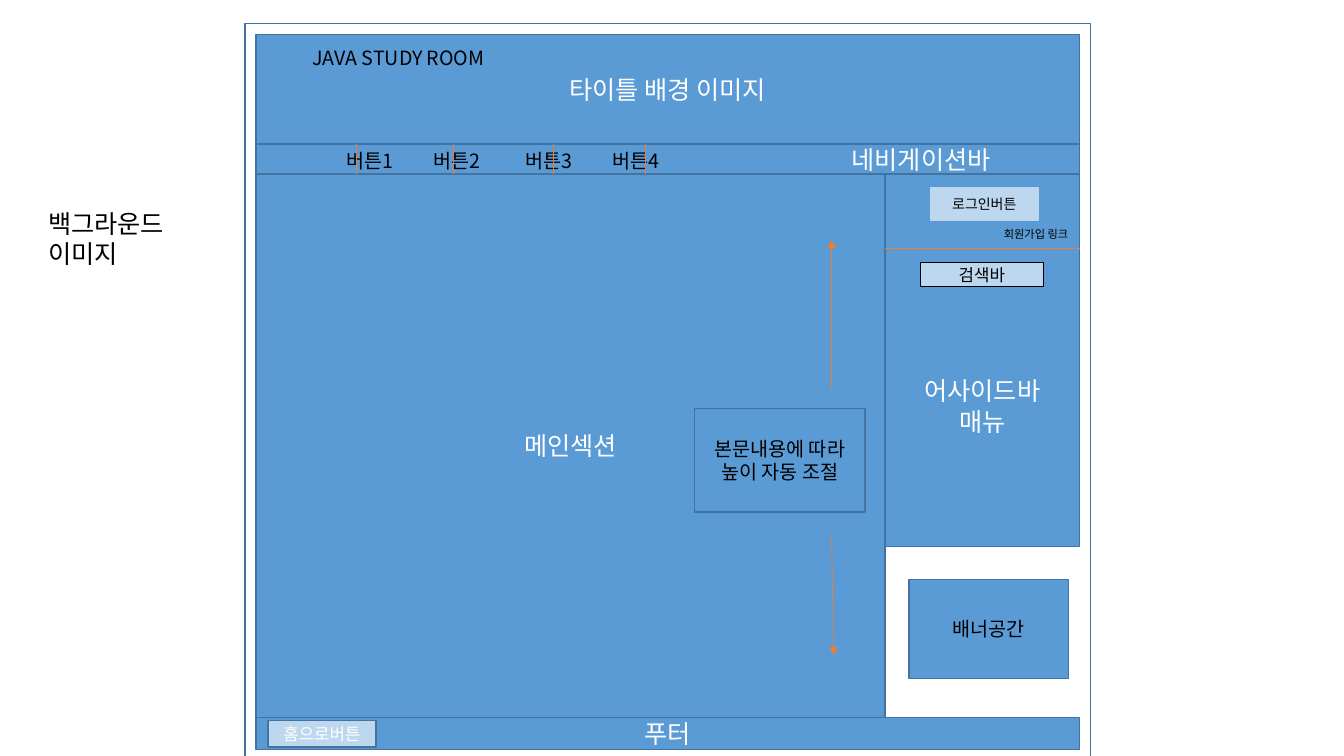
"""Build a wireframe slide of a study-room web page layout."""
from lxml.etree import SubElement
from pptx import Presentation
from pptx.dml.color import RGBColor
from pptx.enum.shapes import MSO_CONNECTOR, MSO_SHAPE
from pptx.enum.text import MSO_ANCHOR, PP_ALIGN
from pptx.oxml.ns import qn
from pptx.util import Pt

FONT = "Noto Sans CJK KR"
WHITE = RGBColor(0xFF, 0xFF, 0xFF)
BLACK = RGBColor(0x00, 0x00, 0x00)
BLUE = RGBColor(0x5B, 0x9B, 0xD5)
DARK_BLUE = RGBColor(0x43, 0x73, 0x9E)
PALE_BLUE = RGBColor(0xBD, 0xD7, 0xEE)
ORANGE = RGBColor(0xED, 0x7D, 0x31)

LEFT, ASIDE_LEFT, RIGHT = 182.9, 632.2, 771.1
HEADER_TOP, NAVIGATION_TOP, MAIN_TOP, FOOTER_TOP = 24.5, 103, 124.2, 512.6
PAGE_WIDTH = RIGHT - LEFT
ASIDE_WIDTH = RIGHT - ASIDE_LEFT
NAVIGATION_HEIGHT = MAIN_TOP - NAVIGATION_TOP
ASIDE_TEXT_DROP = 65

# (lines, box, fill, outline, size, color, text drop)
BLOCKS = [
    ([], (175, 16.6, 604, 524), WHITE, DARK_BLUE, 18, WHITE, 0),
    (["타이틀 배경 이미지"], (LEFT, HEADER_TOP, PAGE_WIDTH, NAVIGATION_TOP - HEADER_TOP),
     BLUE, DARK_BLUE, 18, WHITE, 0),
    ([], (LEFT, NAVIGATION_TOP, PAGE_WIDTH, NAVIGATION_HEIGHT), BLUE, DARK_BLUE, 18, WHITE, 0),
    (["어사이드바", "매뉴"], (ASIDE_LEFT, 124.7, ASIDE_WIDTH, 265.6),
     BLUE, DARK_BLUE, 18, WHITE, ASIDE_TEXT_DROP),
    (["로그인버튼"], (664.6, 133.9, 77, 23.8), PALE_BLUE, PALE_BLUE, 10, BLACK, 0),
    (["검색바"], (657.4, 187.7, 88, 16.8), PALE_BLUE, BLACK, 12, BLACK, 0),
    (["메인섹션"], (LEFT, MAIN_TOP, ASIDE_LEFT - LEFT, FOOTER_TOP - MAIN_TOP),
     BLUE, DARK_BLUE, 18, WHITE, 0),
    (["푸터"], (LEFT, FOOTER_TOP, PAGE_WIDTH, 23), BLUE, DARK_BLUE, 18, WHITE, 0),
    (["본문내용에 따라 높이 자동 조절"], (496, 291.6, 122, 74), BLUE, DARK_BLUE, 14, BLACK, 0),
    (["배너공간"], (649.4, 414, 114, 70.8), BLUE, DARK_BLUE, 14, BLACK, 0),
    (["홈으로버튼"], (191.4, 514.8, 77.2, 18.8), PALE_BLUE, DARK_BLUE, 12, WHITE, 0),
]
# (lines, box, size)
CAPTIONS = [
    (["JAVA STUDY ROOM"], (216, 29.5, 192, 24.2), 14),
    (["회원가입 링크"], (709.9, 159.1, 84, 17), 8),
    (["백그라운드", "이미지"], (27.4, 145.4, 114, 51), 18),
]
# (text, center, drop, width, size, color)
NAVIGATION = [
    ("버튼1", 264.3, 1.4, 54, 14, BLACK),
    ("버튼2", 326.4, 1.4, 54, 14, BLACK),
    ("버튼3", 392.1, 1.4, 54, 14, BLACK),
    ("버튼4", 454.3, 1.4, 54, 14, BLACK),
    ("네비게이션바", 657.9, 0, 130, 18, WHITE),
]
DIVIDERS = [(x, NAVIGATION_TOP, x, MAIN_TOP) for x in (254.9, 324, 395.3, 460.8)]
DIVIDERS.append((ASIDE_LEFT, 177.1, RIGHT, 177.1))
ARROWS = [(594, 277.9, 594, 171.4), (594, 380.9, 595.4, 468)]


def points(values):
    return [Pt(value) for value in values]


def write(shape, lines, size, color, alignment, anchor, margins):
    frame = shape.text_frame
    frame.word_wrap = True
    frame.vertical_anchor = anchor
    (frame.margin_left, frame.margin_top,
     frame.margin_right, frame.margin_bottom) = points(margins)
    for index, line in enumerate(lines):
        paragraph = frame.paragraphs[0] if index == 0 else frame.add_paragraph()
        paragraph.alignment = alignment
        run = paragraph.add_run()
        run.text = line
        run.font.name = FONT
        run.font.size = Pt(size)
        run.font.color.rgb = color
        SubElement(run.font._element, qn("a:ea"), typeface=FONT)


def add_block(slide, lines, box, fill, outline, size, color, drop):
    shape = slide.shapes.add_shape(MSO_SHAPE.RECTANGLE, *points(box))
    shape.shadow.inherit = False
    shape.fill.solid()
    shape.fill.fore_color.rgb = fill
    shape.line.color.rgb = outline
    shape.line.width = Pt(1)
    write(shape, lines, size, color, PP_ALIGN.CENTER, MSO_ANCHOR.MIDDLE, (7.2, drop, 7.2, 0))


def add_line(slide, ends, arrow=False):
    connector = slide.shapes.add_connector(MSO_CONNECTOR.STRAIGHT, *points(ends))
    connector.line.color.rgb = ORANGE
    connector.line.width = Pt(0.5)
    if arrow:
        SubElement(connector.line._get_or_add_ln(), qn("a:tailEnd"), type="triangle")
    SubElement(connector._element.spPr, qn("a:effectLst"))


presentation = Presentation()
presentation.slide_width, presentation.slide_height = Pt(960), Pt(540)
slide = presentation.slides.add_slide(presentation.slide_layouts[6])

for block in BLOCKS:
    add_block(slide, *block)
for lines, box, size in CAPTIONS:
    caption = slide.shapes.add_textbox(*points(box))
    write(caption, lines, size, BLACK, PP_ALIGN.LEFT, MSO_ANCHOR.TOP, (7.2, 3.6, 7.2, 3.6))
for text, center, drop, width, size, color in NAVIGATION:
    box = (center - width / 2, NAVIGATION_TOP + drop, width, NAVIGATION_HEIGHT)
    label = slide.shapes.add_textbox(*points(box))
    write(label, [text], size, color, PP_ALIGN.CENTER, MSO_ANCHOR.MIDDLE, (0, 0, 0, 0))
for divider in DIVIDERS:
    add_line(slide, divider)
for arrow in ARROWS:
    add_line(slide, arrow, arrow=True)

presentation.save("out.pptx")
